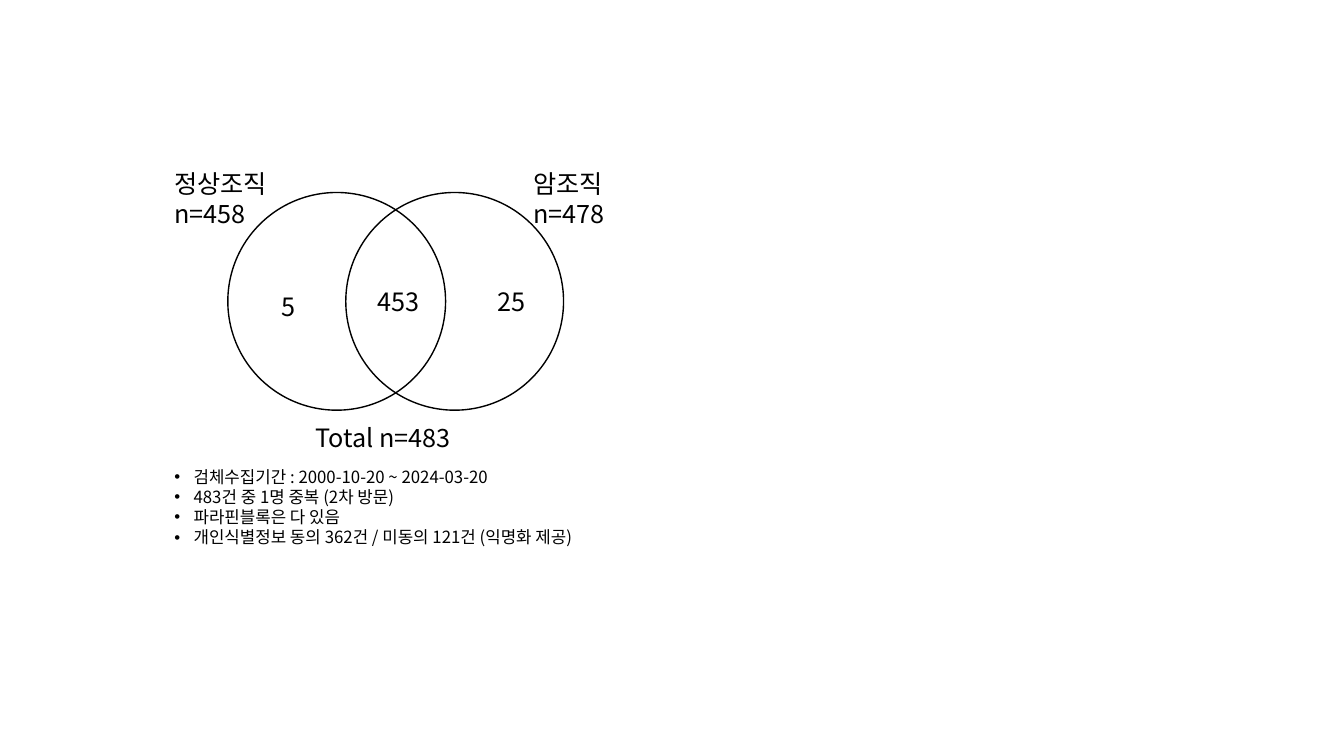
import pptx
import pptx.dml.color
import pptx.enum.shapes
import pptx.enum.text
import pptx.oxml.ns
import pptx.util
from lxml import etree

EMU_PER_PX = 9144  # 100 px to the inch


def px(*lengths):
    return [pptx.util.Emu(length * EMU_PER_PX) for length in lengths]


def colour(hex_string):
    return pptx.dml.color.RGBColor.from_string(hex_string)


def set_values(target, values):
    for name, value in values.items():
        setattr(target, name, value)


class VennSlide:
    font_name = "Noto Sans CJK KR"
    ink = "000000"
    frame_format = {
        "word_wrap": False,
        "auto_size": pptx.enum.text.MSO_AUTO_SIZE.SHAPE_TO_FIT_TEXT,
        "vertical_anchor": pptx.enum.text.MSO_ANCHOR.TOP,
    }
    paragraph_format = {
        "alignment": pptx.enum.text.PP_ALIGN.LEFT,
        "line_spacing": 1.0,
        "space_before": pptx.util.Pt(0),
        "space_after": pptx.util.Pt(0),
    }

    def __init__(self, slide):
        self.slide = slide

    def circle(self, left, top, diameter):
        shape = self.slide.shapes.add_shape(
            pptx.enum.shapes.MSO_SHAPE.OVAL, *px(left, top, diameter, diameter))
        shape.shadow.inherit = False
        shape.fill.background()
        shape.line.color.rgb = colour(self.ink)
        shape.line.width = pptx.util.Pt(1)

    def fill_text(self, shape, lines, size):
        """Fill a shape with one formatted paragraph per line."""
        frame = shape.text_frame
        frame.text = "\n".join(lines)
        set_values(frame, self.frame_format)
        for paragraph in frame.paragraphs:
            set_values(paragraph, self.paragraph_format)
            for run in paragraph.runs:
                set_values(run.font, {"name": self.font_name, "size": pptx.util.Pt(size)})
                run.font.color.rgb = colour(self.ink)
                east_asian = etree.SubElement(run.font._element, pptx.oxml.ns.qn("a:ea"))
                east_asian.set("typeface", self.font_name)

    def label(self, left, top, width, height, *lines):
        shape = self.slide.shapes.add_textbox(*px(left, top, width, height))
        self.fill_text(shape, lines, 18)

    def bullet_list(self, left, top, width, height, indent, lines):
        body = self.slide.placeholders[1]
        position = zip(("left", "top", "width", "height"), px(left, top, width, height))
        set_values(body, dict(position))
        self.fill_text(body, lines, 12)
        margin = px(indent)[0]
        for paragraph in body.text_frame.paragraphs:
            properties = paragraph._p.get_or_add_pPr()
            properties.set("marL", str(margin))
            properties.set("indent", str(-margin))
            for tag, name, value in (("a:buFont", "typeface", "Arial"),
                                     ("a:buChar", "char", "•")):
                bullet = etree.SubElement(properties, pptx.oxml.ns.qn(tag))
                bullet.set(name, value)


def main():
    presentation = pptx.Presentation()
    presentation.slide_width, presentation.slide_height = px(1333, 750)
    slide = presentation.slides.add_slide(presentation.slide_layouts[1])
    title = slide.shapes.title._element
    title.getparent().remove(title)

    venn = VennSlide(slide)
    for left in (226, 343):
        venn.circle(left, 191, 216)

    venn.label(163, 162, 121, 71, "정상조직", "n=458")
    venn.label(519, 162, 99, 71, "암조직", "n=478")
    for left, top, width, text in ((269, 284, 34, "5"), (484, 279, 48, "25"),
                                   (365, 279, 62, "453"), (303, 414, 157, "Total n=483")):
        venn.label(left, top, width, 40, text)

    venn.bullet_list(163, 458, 456, 91, 19, (
        "검체수집기간 : 2000-10-20 ~ 2024-03-20",
        "483건 중 1명 중복 (2차 방문)",
        "파라핀블록은 다 있음",
        "개인식별정보 동의 362건 / 미동의 121건 (익명화 제공)",
    ))
    presentation.save("out.pptx")


if __name__ == "__main__":
    main()
